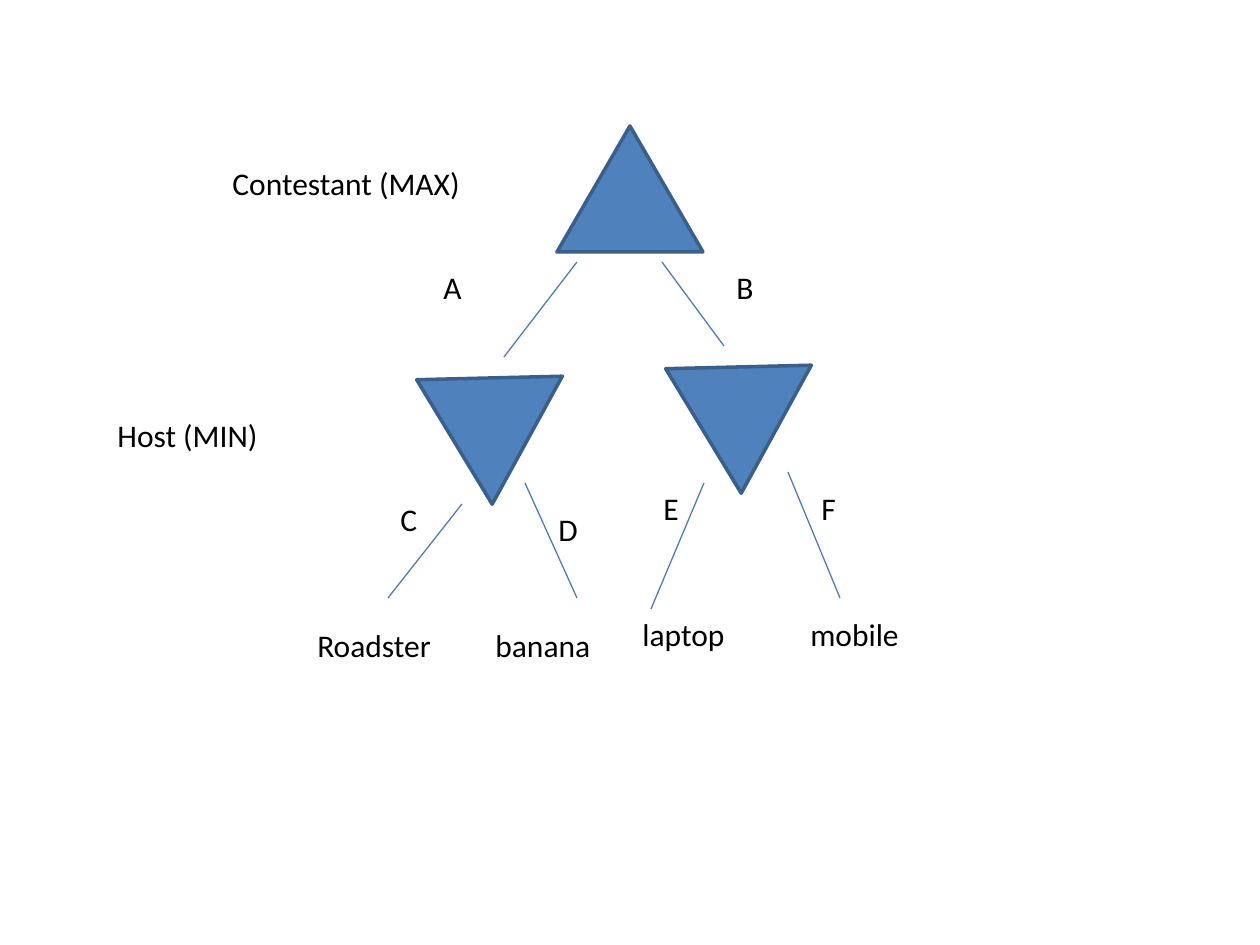
"""Build a two-level game tree slide with a MAX root and MIN children."""
from dataclasses import dataclass

from lxml.etree import SubElement
from pptx import Presentation
from pptx.dml.color import RGBColor
from pptx.enum.shapes import MSO_CONNECTOR as Connector, MSO_SHAPE as Preset
from pptx.enum.text import MSO_AUTO_SIZE as AutoSize
from pptx.oxml.ns import qn
from pptx.util import Pt

SCALE = 914400 // 126
NODE_SIZE = (146, 126)
LABEL_HEIGHT = 51
MIN_TURN = 298.7

NODES = [(557, 126, 0), (399, 347, MIN_TURN), (648, 336, MIN_TURN)]

BRANCHES = [
    (577, 262, 504, 357),
    (662, 262, 724, 346),
    (462, 504, 388, 598),
    (525, 483, 577, 598),
    (704, 483, 651, 609),
    (788, 472, 840, 598),
]

LABELS = [
    ("Roadster", 305, 620, 154),
    ("banana", 483, 620, 121),
    ("laptop", 630, 609, 108),
    ("mobile", 798, 609, 116),
    ("A", 431, 262, 44),
    ("B", 724, 262, 43),
    ("C", 388, 494, 43),
    ("D", 546, 504, 45),
    ("E", 651, 483, 40),
    ("F", 809, 483, 40),
    ("Contestant (MAX)", 220, 158, 256),
    ("Host (MIN)", 105, 410, 168),
]


@dataclass(frozen=True)
class Theme:
    fill: RGBColor = RGBColor.from_string("4F81BD")
    outline: RGBColor = RGBColor.from_string("3A5F8C")
    branch: RGBColor = RGBColor.from_string("4B7EBC")
    text: RGBColor = RGBColor.from_string("000000")
    font: str = "Calibri"
    text_size: Pt = Pt(18)
    outline_width: Pt = Pt(2)
    branch_width: Pt = Pt(0.75)


THEME = Theme()


def emu(*pixels):
    return [value * SCALE for value in pixels]


def style_line(line, color, width):
    line.color.rgb = color
    line.width = width


def add_node(page, left, top, turn):
    node = page.shapes.add_shape(Preset.ISOSCELES_TRIANGLE, *emu(left, top, *NODE_SIZE))
    node.rotation = turn
    node.shadow.inherit = False
    node.fill.solid()
    node.fill.fore_color.rgb = THEME.fill
    style_line(node.line, THEME.outline, THEME.outline_width)


def add_branch(page, *ends):
    branch = page.shapes.add_connector(Connector.STRAIGHT, *emu(*ends))
    style_line(branch.line, THEME.branch, THEME.branch_width)
    SubElement(branch._element.spPr, qn("a:effectLst"))


def add_label(page, text, left, top, width):
    box = page.shapes.add_textbox(*emu(left, top, width, LABEL_HEIGHT))
    frame = box.text_frame
    frame.word_wrap = False
    frame.auto_size = AutoSize.SHAPE_TO_FIT_TEXT
    frame.text = text
    font = frame.paragraphs[0].runs[0].font
    font.name = THEME.font
    font.size = THEME.text_size
    font.color.rgb = THEME.text


def main():
    deck = Presentation()
    deck.slide_width, deck.slide_height = emu(1260, 945)
    page = deck.slides.add_slide(deck.slide_layouts.get_by_name("Blank"))
    for node in NODES:
        add_node(page, *node)
    for branch in BRANCHES:
        add_branch(page, *branch)
    for label in LABELS:
        add_label(page, *label)
    deck.save("out.pptx")


main()
